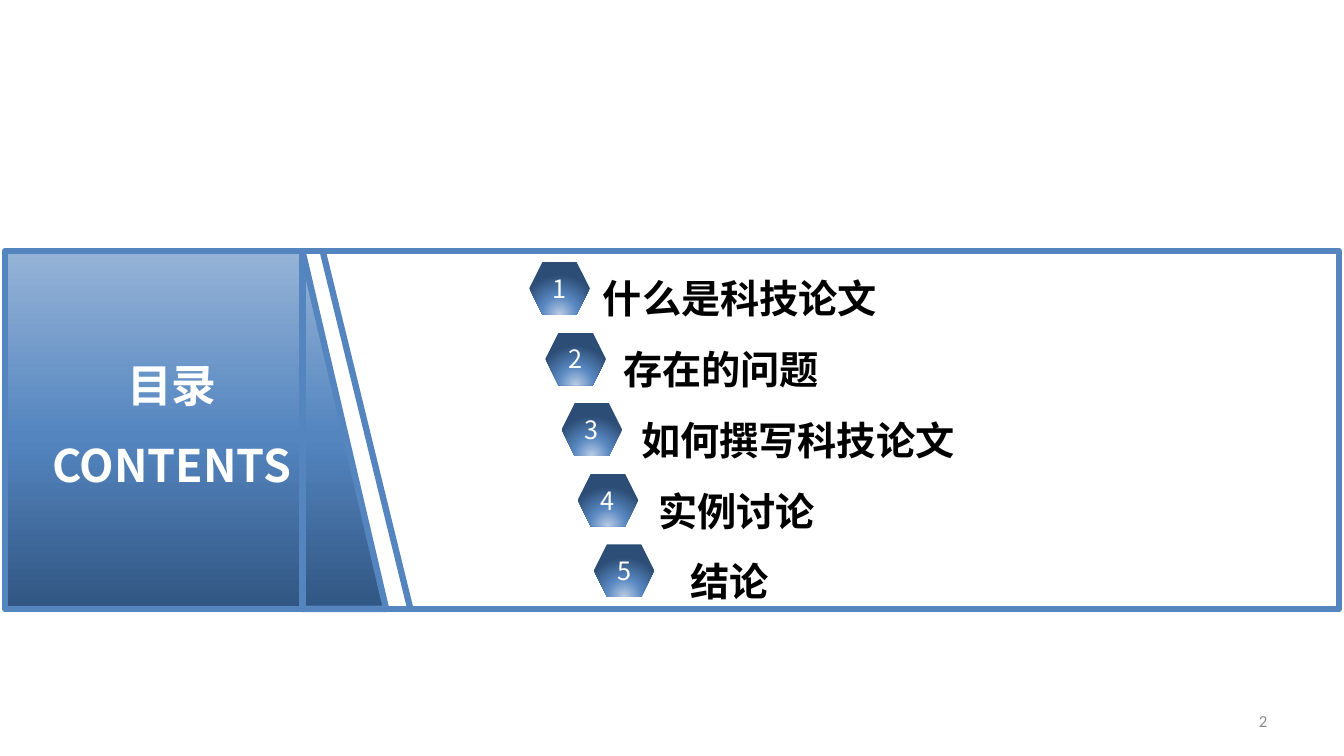
from dataclasses import dataclass
from typing import Optional

import lxml.etree
import pptx
import pptx.dml.color
import pptx.enum.shapes
import pptx.enum.text
import pptx.oxml
import pptx.oxml.ns
import pptx.util

PX = 9144
SHAPE = pptx.enum.shapes.MSO_SHAPE
ALIGN = pptx.enum.text.PP_ALIGN
ANCHOR = pptx.enum.text.MSO_ANCHOR


@dataclass(frozen=True)
class Theme:
    font: str = "Noto Sans CJK SC"
    number_font: str = "Calibri"
    blue: str = "5485BF"
    white: str = "FFFFFF"
    black: str = "000000"
    grey: str = "8C8C8C"
    panel_stops: tuple = ((0, "315683"), (48, "5485BF"), (100, "95B3D7"))
    badge_stops: tuple = ((0, "B9CDE5"), (46, "5887C0"), (100, "2C4D75"))
    title_size: int = 32
    title_pitch: float = 57
    item_size: int = 28
    item_pitch: float = 50.5
    badge_size: int = 18
    number_size: int = 12
    border: float = 4.5


@dataclass(frozen=True)
class Box:
    x: int
    y: int
    w: int
    h: int

    def emu(self) -> tuple:
        return tuple(v * PX for v in (self.x, self.y, self.w, self.h))


@dataclass(frozen=True)
class Panel:
    kind: SHAPE
    box: Box
    fill: Optional[str] = None


@dataclass(frozen=True)
class Item:
    text: str
    indent: int


THEME = Theme()
LINEAR = '<a:lin ang="16200000" scaled="0"/>'
RADIAL = '<a:path path="circle"><a:fillToRect l="50000" t="130000" r="50000" b="-30000"/></a:path>'

ITEMS = (
    Item("什么是科技论文", 0),
    Item("存在的问题", 20),
    Item("如何撰写科技论文", 38),
    Item("实例讨论", 55),
    Item("结论", 87),
)
PANELS = (
    Panel(SHAPE.RECTANGLE, Box(5, 249, 295, 355), LINEAR),
    Panel(SHAPE.RIGHT_TRIANGLE, Box(300, 249, 83, 355), LINEAR),
)
FRAME = Panel(SHAPE.RECTANGLE, Box(300, 249, 1028, 355))


def rgb(value: str) -> pptx.dml.color.RGBColor:
    return pptx.dml.color.RGBColor.from_string(value)


def set_gradient(sp, stops: tuple, direction: str) -> None:
    sp.fill.background()
    gs = "".join(
        f'<a:gs pos="{pos * 1000}"><a:srgbClr val="{color}"/></a:gs>' for pos, color in stops
    )
    ns = pptx.oxml.ns.nsdecls("a")
    grad = pptx.oxml.parse_xml(
        f'<a:gradFill {ns} rotWithShape="1"><a:gsLst>{gs}</a:gsLst>{direction}</a:gradFill>'
    )
    props = sp._element.spPr
    props.replace(props.find(pptx.oxml.ns.qn("a:noFill")), grad)


def set_line(line) -> None:
    line.color.rgb = rgb(THEME.blue)
    line.width = pptx.util.Pt(THEME.border)


def add_run(p, text: str, size: int, color: str, bold: bool = False, name: str = THEME.font) -> None:
    r = p.add_run()
    r.text = text
    r.font.size = pptx.util.Pt(size)
    r.font.bold = bold
    r.font.color.rgb = rgb(color)
    r.font.name = name
    latin = r.font._element.find(pptx.oxml.ns.qn("a:latin"))
    ea = lxml.etree.Element(pptx.oxml.ns.qn("a:ea"), typeface=name)
    latin.addnext(ea)


def set_frame(sp, anchor: ANCHOR, top: int = 5) -> pptx.text.text.TextFrame:
    tf = sp.text_frame
    tf.word_wrap = True
    tf.auto_size = pptx.enum.text.MSO_AUTO_SIZE.NONE
    tf.vertical_anchor = anchor
    tf.margin_left = tf.margin_right = 10 * PX
    tf.margin_top, tf.margin_bottom = top * PX, 5 * PX
    return tf


def place(sp, box: Box) -> None:
    sp.left, sp.top, sp.width, sp.height = box.emu()


def add_panel(s, panel: Panel) -> None:
    sp = s.shapes.add_shape(panel.kind, *panel.box.emu())
    sp.shadow.inherit = False
    if panel.fill:
        set_gradient(sp, THEME.panel_stops, panel.fill)
    else:
        sp.fill.background()
    set_line(sp.line)


def add_slant(s) -> None:
    ends = (v * PX for v in (320, 249, 407, 604))
    line = s.shapes.add_connector(pptx.enum.shapes.MSO_CONNECTOR.STRAIGHT, *ends)
    set_line(line.line)
    lxml.etree.SubElement(line._element.spPr, pptx.oxml.ns.qn("a:effectLst"))


def add_badge(s, i: int) -> None:
    sp = s.shapes.add_shape(SHAPE.HEXAGON, *Box(525 + 16 * i, 260 + 70 * i, 60, 52).emu())
    sp.shadow.inherit = False
    set_gradient(sp, THEME.badge_stops, RADIAL)
    sp.line.fill.background()
    tf = set_frame(sp, ANCHOR.MIDDLE)
    tf.margin_left = tf.margin_right = tf.margin_top = tf.margin_bottom = 0
    p = tf.paragraphs[0]
    p.alignment = ALIGN.CENTER
    add_run(p, str(i + 1), THEME.badge_size, THEME.white)


def fill_list(sp) -> None:
    place(sp, Box(588, 240, 654, 434))
    tf = set_frame(sp, ANCHOR.TOP, 9)
    for i, item in enumerate(ITEMS):
        p = tf.paragraphs[0] if i == 0 else tf.add_paragraph()
        props = p._p.get_or_add_pPr()
        props.set("marL", str(item.indent * PX))
        props.set("indent", "0")
        lxml.etree.SubElement(props, pptx.oxml.ns.qn("a:buNone"))
        p.line_spacing = pptx.util.Pt(THEME.item_pitch)
        p.space_before = p.space_after = pptx.util.Pt(0)
        add_run(p, item.text, THEME.item_size, THEME.black, True)


def fill_title(sp) -> None:
    place(sp, Box(29, 320, 283, 168))
    p = set_frame(sp, ANCHOR.MIDDLE, 13).paragraphs[0]
    p.alignment = ALIGN.CENTER
    p.line_spacing = pptx.util.Pt(THEME.title_pitch)
    add_run(p, "目录 CONTENTS", THEME.title_size, THEME.white, True)
    sp._element.getparent().append(sp._element)


def add_page_number(s) -> None:
    sp = s.shapes.add_textbox(*Box(956, 695, 311, 40).emu())
    p = set_frame(sp, ANCHOR.MIDDLE).paragraphs[0]
    p.alignment = ALIGN.RIGHT
    add_run(p, "2", THEME.number_size, THEME.grey, name=THEME.number_font)


def main() -> None:
    prs = pptx.Presentation()
    prs.slide_width, prs.slide_height = 1333 * PX, 750 * PX
    s = prs.slides.add_slide(prs.slide_layouts[1])
    fill_list(s.placeholders[1])
    for panel in PANELS:
        add_panel(s, panel)
    add_slant(s)
    for i in range(len(ITEMS)):
        add_badge(s, i)
    add_page_number(s)
    add_panel(s, FRAME)
    fill_title(s.shapes.title)
    prs.save("out.pptx")


if __name__ == "__main__":
    main()
